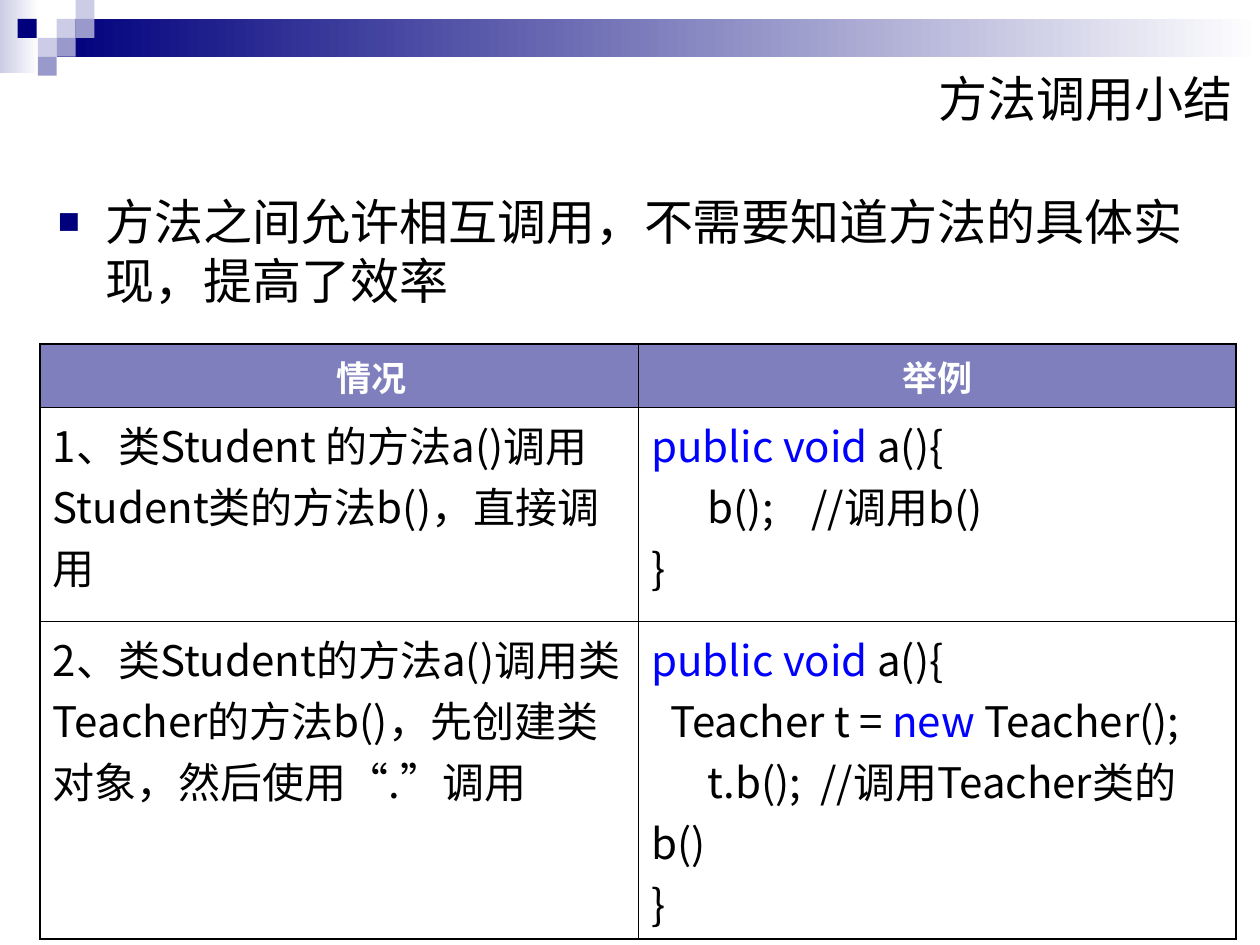
"""Build the slide that sums up how methods call each other."""
import lxml.etree
import pptx
import pptx.dml.color
import pptx.enum.shapes
import pptx.enum.text
import pptx.oxml.ns
import pptx.util

Inches = pptx.util.Inches
Pt = pptx.util.Pt
qn = pptx.oxml.ns.qn
PP_ALIGN = pptx.enum.text.PP_ALIGN
MSO_ANCHOR = pptx.enum.text.MSO_ANCHOR

COLORS = {"navy": "00007D", "mid": "9999CC", "pale": "CCCCE6", "white": "FFFFFF",
          "black": "000000", "keyword": "0000FF"}
KEYWORDS = {"public void", "new"}
SQUARES = [(0.45, 0.15, "pale"), (0.6, 0, "pale"), (0.6, 0.15, "mid"), (0.3, 0.3, "pale"),
           (0.14, 0.15, "navy"), (0.45, 0.3, "mid"), (0.3, 0.45, "mid")]
HEADER = ["情况", "举例"]
CASES = [
    ([["1、类Student 的方法a()调用Student类的方法b()，直接调用"]],
     [["public void", " a(){"], ["      b();    //调用b()"], ["}"]]),
    ([["2、类Student的方法a()调用类Teacher的方法b()，先创建类对象，然后使用“.”调用"]],
     [["public void", " a(){"], ["  Teacher t = ", "new", " Teacher();"],
      ["      t.b();  //调用Teacher类的b()"], ["}"]]),
]


def rgb(name):
    return pptx.dml.color.RGBColor.from_string(COLORS[name])


def add_xml(parent, tag, **attrs):
    return lxml.etree.SubElement(parent, qn(tag), attrs)


class Deck:
    """Hold the style and the current slide."""

    heading_font = "Arial"
    cell_font = "Noto Sans CJK SC"

    def __init__(self):
        self.prs = pptx.Presentation()
        self.prs.slide_width, self.prs.slide_height = Inches(10), Inches(7.5)
        self.s = self.prs.slides.add_slide(self.prs.slide_layouts[1])

    def style(self, p, size, font, color="black", bold=False, align=PP_ALIGN.LEFT):
        p.alignment = align
        p.space_before = Pt(0)
        p.font.size, p.font.name, p.font.bold = Pt(size), font, bold
        p.font.color.rgb = rgb(color)

    def rect(self, x, y, w, h, *colors):
        sp = self.s.shapes.add_shape(pptx.enum.shapes.MSO_SHAPE.RECTANGLE,
                                     Inches(x), Inches(y), Inches(w), Inches(h))
        sp.shadow.inherit = False
        sp.line.fill.background()
        if len(colors) == 1:
            sp.fill.solid()
            sp.fill.fore_color.rgb = rgb(colors[0])
            return
        sp.fill.gradient()
        sp.fill.gradient_angle = 0
        for stop, color in zip(sp.fill.gradient_stops, colors):
            stop.color.rgb = rgb(color)

    def place(self, sp, x, y, w, h, text):
        sp.left, sp.top, sp.width, sp.height = Inches(x), Inches(y), Inches(w), Inches(h)
        tf = sp.text_frame
        tf.text = text
        tf.auto_size = pptx.enum.text.MSO_AUTO_SIZE.NONE
        return tf

    def title(self, text, *box):
        tf = self.place(self.s.shapes.title, *box, text)
        tf.vertical_anchor = MSO_ANCHOR.MIDDLE
        self.style(tf.paragraphs[0], 28, self.heading_font, align=PP_ALIGN.RIGHT)

    def bullet(self, text, *box):
        p = self.place(self.s.placeholders[1], *box, text).paragraphs[0]
        pPr = p._p.get_or_add_pPr()
        pPr.set("marL", str(Inches(0.38)))
        pPr.set("indent", str(Inches(-0.38)))
        add_xml(add_xml(pPr, "a:buClr"), "a:srgbClr", val=COLORS["navy"])
        add_xml(pPr, "a:buSzPct", val="75000")
        add_xml(pPr, "a:buFont", typeface=self.heading_font)
        add_xml(pPr, "a:buChar", char="■")
        self.style(p, 28, self.heading_font)

    def table(self, x, y, widths, heights):
        frame = self.s.shapes.add_table(len(heights), len(widths), Inches(x), Inches(y),
                                        Inches(sum(widths)), Inches(sum(heights)))
        table = frame.table
        table.first_row = table.horz_banding = False
        for col, w in zip(table.columns, widths):
            col.width = Inches(w)
        for row, h in zip(table.rows, heights):
            row.height = Inches(h)
        last_row, last_col = len(heights) - 1, len(widths) - 1
        for i, row in enumerate(table.rows):
            for j, cell in enumerate(row.cells):
                self.borders(cell, lnL=j == 0, lnR=j == last_col, lnT=i == 0, lnB=i == last_row)
                cell.fill.solid()
                cell.fill.fore_color.rgb = rgb("white")
        return table

    def borders(self, cell, **outer):
        tcPr = cell._tc.get_or_add_tcPr()
        for side, is_outer in outer.items():
            ln = add_xml(tcPr, "a:" + side, w=str(Pt(1.08 if is_outer else 0.45)))
            add_xml(add_xml(ln, "a:solidFill"), "a:srgbClr", val=COLORS["black"])

    def header_cell(self, cell, text, margin=0):
        cell.text = text
        cell.vertical_anchor = MSO_ANCHOR.MIDDLE
        cell.fill.fore_color.rgb = rgb("navy")
        color = cell._tc.tcPr.find(qn("a:solidFill")).find(qn("a:srgbClr"))
        add_xml(color, "a:alpha", val="50000")
        p = cell.text_frame.paragraphs[0]
        p._p.get_or_add_pPr().set("marL", str(Inches(margin)))
        self.style(p, 20, self.heading_font, "white", True, PP_ALIGN.CENTER)

    def body_cell(self, cell, lines):
        tf = cell.text_frame
        for i, line in enumerate(lines):
            p = tf.add_paragraph() if i else tf.paragraphs[0]
            self.style(p, 24, self.cell_font)
            for text in line:
                r = p.add_run()
                r.text = text
                if text in KEYWORDS:
                    r.font.color.rgb = rgb("keyword")


def main():
    deck = Deck()
    deck.rect(0, 0, 0.31, 0.58, "pale", "white")
    deck.rect(0.45, 0.15, 9.55, 0.3, "navy", "white")
    for x, y, color in SQUARES:
        deck.rect(x, y, 0.15, 0.15, color)
    deck.title("方法调用小结", 4.59, 0.5, 5.29, 0.55)
    deck.bullet("方法之间允许相互调用，不需要知道方法的具体实现，提高了效率", 0.36, 1.47, 9.29, 4.95)
    table = deck.table(0.32, 2.73, [4.75, 4.74], [0.5, 1.7, 2.5])
    for j, (text, margin) in enumerate(zip(HEADER, [0.5, 0])):
        deck.header_cell(table.cell(0, j), text, margin)
    for i, case in enumerate(CASES, start=1):
        for j, lines in enumerate(case):
            deck.body_cell(table.cell(i, j), lines)
    deck.prs.save("out.pptx")


if __name__ == "__main__":
    main()
